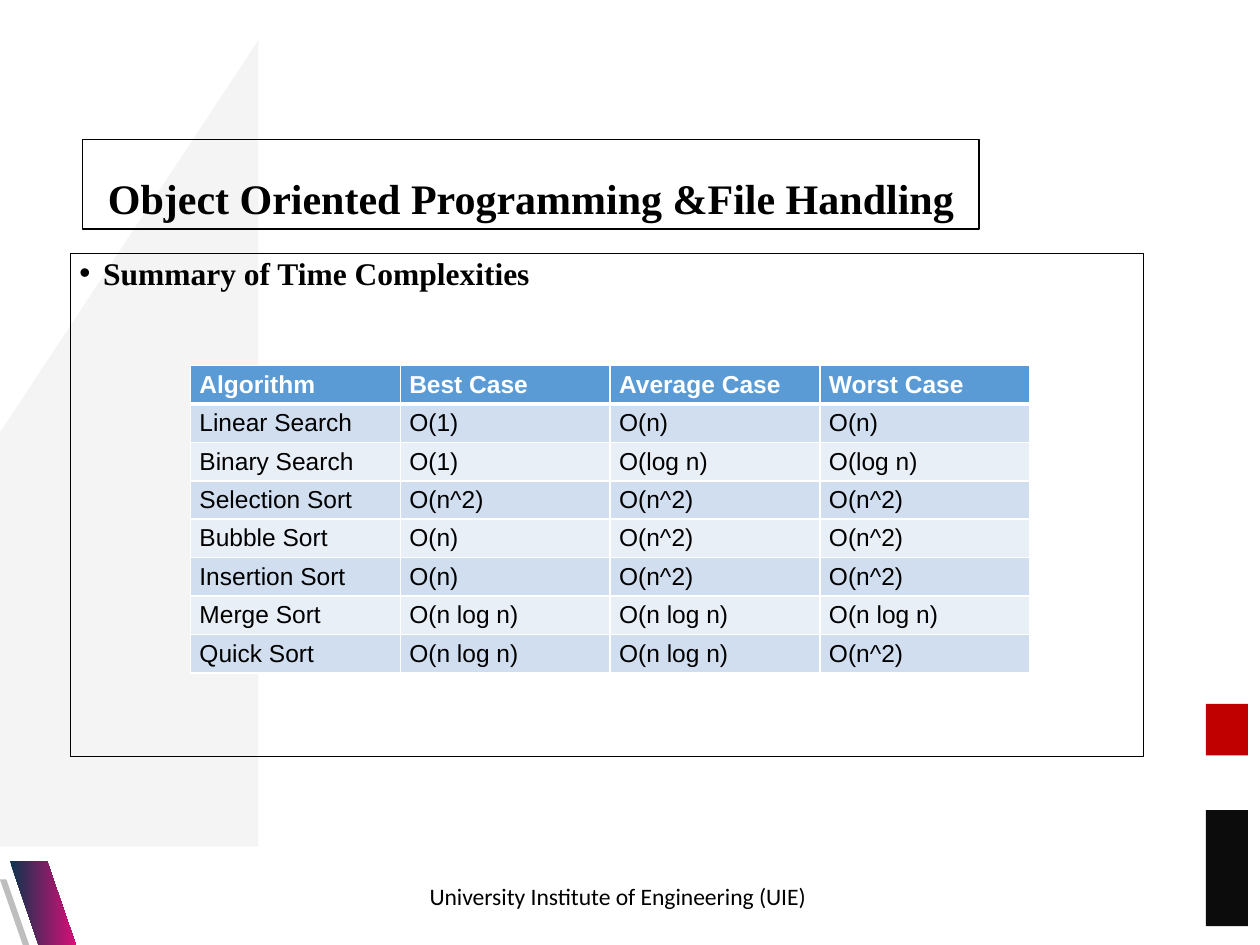
from lxml import etree
from pptx import Presentation
from pptx.dml import color
from pptx.enum import shapes, text
from pptx.oxml import ns
from pptx.util import Cm, Pt

BLACK = color.RGBColor(0x00, 0x00, 0x00)
INK = color.RGBColor(0x0C, 0x0C, 0x0C)
WHITE = color.RGBColor(0xFF, 0xFF, 0xFF)
GRAY = color.RGBColor(0xD8, 0xD8, 0xD8)
SILVER = color.RGBColor(0xBF, 0xBE, 0xBE)
RED = color.RGBColor(0xC0, 0x00, 0x00)
NAVY = color.RGBColor(0x0C, 0x34, 0x4C)
PINK = color.RGBColor(0xD8, 0x0F, 0x79)
BLUE = color.RGBColor(0x5B, 0x9B, 0xD5)
BANDS = [color.RGBColor(0xE9, 0xEF, 0xF7), color.RGBColor(0xD0, 0xDE, 0xEF)]

deck = Presentation()
deck.slide_width, deck.slide_height = Cm(25.4), Cm(19.05)
slide = deck.slides.add_slide(deck.slide_layouts[6])
tree = slide.shapes


def add_box(place, anchor, pad):
    box = tree.add_textbox(*map(Cm, place))
    frame = box.text_frame
    frame.word_wrap = True
    frame.vertical_anchor = anchor
    frame.margin_left = frame.margin_right = Cm(pad)
    frame.margin_top = frame.margin_bottom = Cm(pad / 2)
    return box, frame.paragraphs[0]


def add_run(para, words, face, size, tint, bold):
    run = para.add_run()
    run.text = words
    run.font.name = face
    run.font.size = Pt(size)
    run.font.color.rgb = tint
    run.font.bold = bold


forms = []
for points in [
    [(0, 8.72), (5.21, 0.81), (5.21, 17.07), (0, 17.07)],
    [(0.2, 17.36), (0.95, 17.36), (1.53, 19.05), (0.78, 19.05)],
    [(0, 17.73), (0.13, 17.73), (0.59, 19.05), (0.46, 19.05)],
]:
    spots = [(Cm(x), Cm(y)) for x, y in points]
    path = tree.build_freeform(*spots[0])
    path.add_line_segments(spots[1:])
    form = path.convert_to_shape()
    form.shadow.inherit = False
    form.line.fill.background()
    forms.append(form)
wedge, wide, thin = forms
for form, tint in [(wedge, GRAY), (thin, SILVER)]:
    form.fill.solid()
    form.fill.fore_color.rgb = tint
tone = wedge._element.spPr.find(ns.qn("a:solidFill"))[0]
etree.SubElement(tone, ns.qn("a:alpha")).set("val", "26000")
wide.fill.gradient()
wide.fill.gradient_angle = 0
for stop, tint in zip(wide.fill.gradient_stops, [NAVY, PINK]):
    stop.color.rgb = tint

for top, height, tint in [(14.19, 1.04, RED), (16.33, 2.34, INK)]:
    block = tree.add_shape(shapes.MSO_SHAPE.RECTANGLE, Cm(24.31), Cm(top), Cm(0.85), Cm(height))
    block.shadow.inherit = False
    block.line.fill.background()
    block.fill.solid()
    block.fill.fore_color.rgb = tint

title, head = add_box((1.67, 2.82, 18.07, 1.8), text.MSO_ANCHOR.BOTTOM, 0.24)
head.alignment = text.PP_ALIGN.CENTER
add_run(head, "Object Oriented Programming &File Handling", "Times New Roman", 24, BLACK, True)

body, point = add_box((1.42, 5.11, 21.63, 10.14), text.MSO_ANCHOR.TOP, 0.18)
point.alignment = text.PP_ALIGN.JUSTIFY
props = point._p.get_or_add_pPr()
props.set("marL", str(Cm(0.48)))
props.set("indent", str(-Cm(0.48)))
etree.SubElement(props, ns.qn("a:buFont")).set("typeface", "Arial")
etree.SubElement(props, ns.qn("a:buChar")).set("char", "•")
add_run(point, "Summary of Time Complexities", "Times New Roman", 18, BLACK, True)

for box, para in [(title, head), (body, point)]:
    para.line_spacing = 0.9
    box.line.color.rgb = BLACK
    box.line.width = Pt(0.75)

rows = [
    ("Algorithm", "Best Case", "Average Case", "Worst Case"),
    ("Linear Search", "O(1)", "O(n)", "O(n)"),
    ("Binary Search", "O(1)", "O(log n)", "O(log n)"),
    ("Selection Sort", "O(n^2)", "O(n^2)", "O(n^2)"),
    ("Bubble Sort", "O(n)", "O(n^2)", "O(n^2)"),
    ("Insertion Sort", "O(n)", "O(n^2)", "O(n^2)"),
    ("Merge Sort", "O(n log n)", "O(n log n)", "O(n log n)"),
    ("Quick Sort", "O(n log n)", "O(n log n)", "O(n^2)"),
]
grid = tree.add_table(len(rows), 4, Cm(3.84), Cm(7.37), Cm(16.92), Cm(6.16)).table
for r, row in enumerate(rows):
    grid.rows[r].height = Cm(0.77)
    for c, words in enumerate(row):
        cell = grid.cell(r, c)
        cell.vertical_anchor = text.MSO_ANCHOR.MIDDLE
        cell.margin_left = cell.margin_right = Cm(0.18)
        cell.margin_top = cell.margin_bottom = Cm(0.09)
        cell.fill.solid()
        cell.fill.fore_color.rgb = BANDS[r % 2] if r else BLUE
        add_run(cell.text_frame.paragraphs[0], words, "Arial", 14, BLACK if r else WHITE, r == 0)
        for i, side in enumerate("LRTB"):
            thick = (r, side) in [(0, "B"), (1, "T")]
            edge = etree.Element(ns.qn("a:ln" + side), w=str(Pt(3 if thick else 1)))
            paint = etree.SubElement(edge, ns.qn("a:solidFill"))
            etree.SubElement(paint, ns.qn("a:srgbClr")).set("val", str(WHITE))
            cell._tc.get_or_add_tcPr().insert(i, edge)

foot, label = add_box((8.41, 17.65, 8.59, 1.02), text.MSO_ANCHOR.TOP, 0.25)
add_run(label, "University Institute of Engineering (UIE)", "Calibri", 13.5, BLACK, False)

deck.save("out.pptx")
